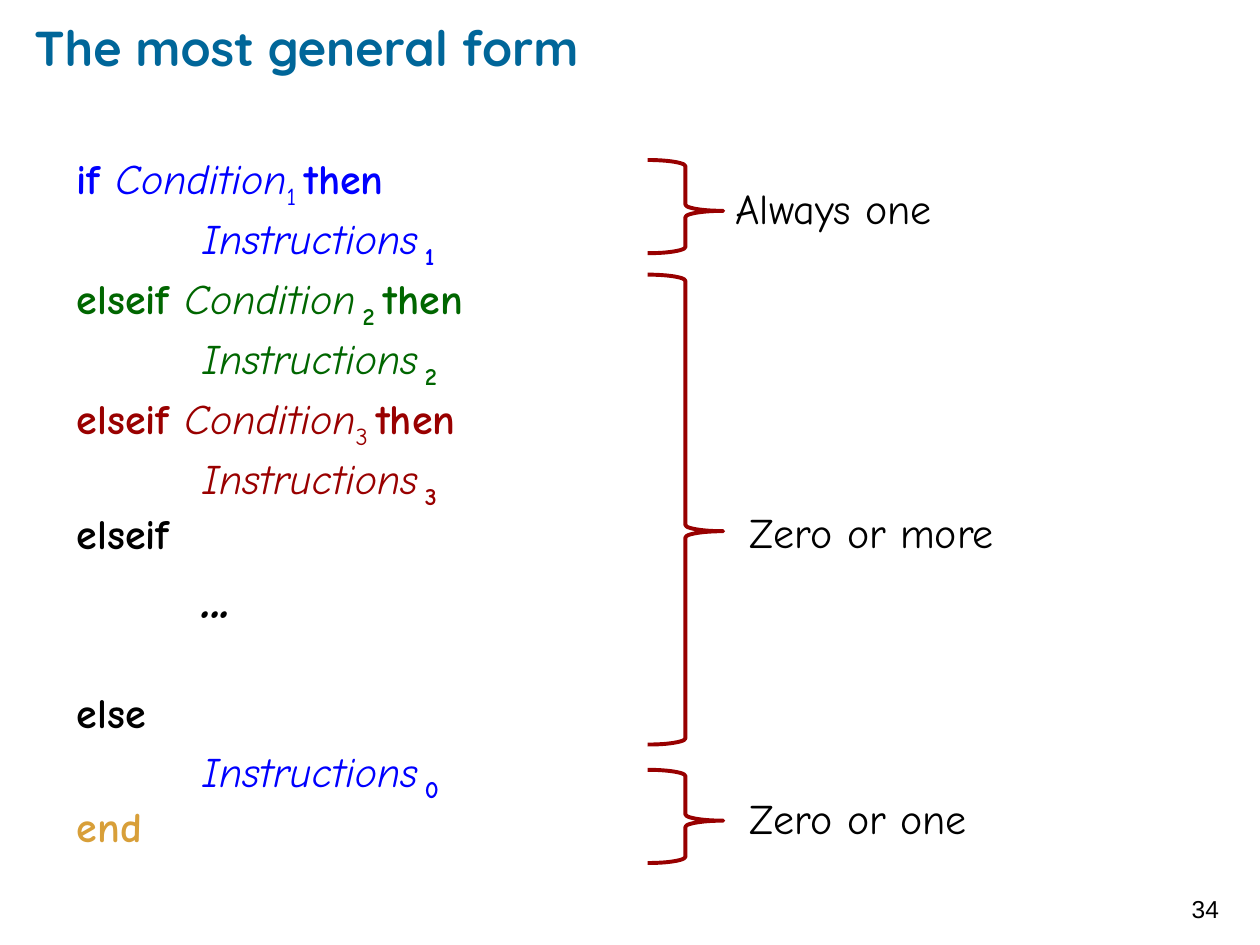
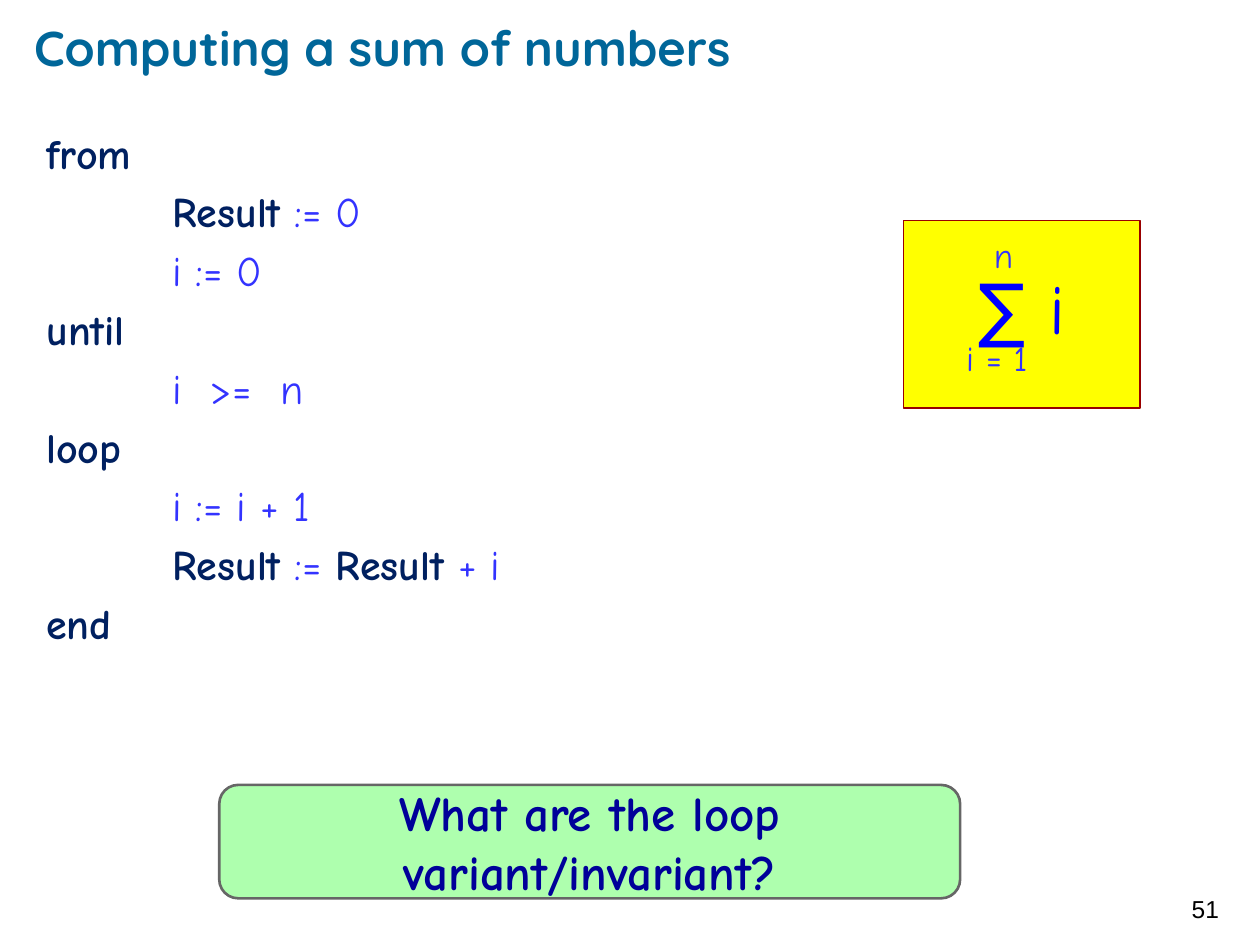
from dataclasses import dataclass
from typing import NamedTuple

from lxml.etree import SubElement
from pptx import Presentation
from pptx.dml.color import RGBColor
from pptx.enum.shapes import MSO_SHAPE as Shape
from pptx.enum.text import MSO_ANCHOR as Anchor, PP_ALIGN as Align
from pptx.oxml.ns import qn
from pptx.util import Inches, Pt

COLORS = {
    "title": "006699", "black": "000000", "first": "0000FF",
    "second": "006600", "third": "990000", "end": "D89F39",
    "brace": "980000", "keyword": "002060", "code": "3333FF",
    "sum_fill": "FFFF00", "question": "000099",
    "question_fill": "99FF99", "question_line": "666666",
}
TITLE_FONT, BODY_FONT, NUMBER_FONT = "Quicksand", "Comic Neue", "Arial"
COLUMNS, ROWS = 100, 75
CELL = Inches(0.1)
CODE_SIZE, CODE_GAP = 24, 4.8
CODE_INSETS = (0.1, 0.05)
LABEL_INSETS = (0.1, 0.1)


class Box(NamedTuple):
    """Left, top, width and height in grid cells."""
    col: float
    row: float
    cols: float
    rows: float

    def emu(self) -> list[int]:
        return [round(v * CELL) for v in self]


@dataclass
class Run:
    text: str
    color: str
    bold: bool = False
    italic: bool = False
    sub: bool = False
    size: float = CODE_SIZE
    font: str = BODY_FONT


@dataclass
class Line:
    runs: list[Run]
    indented: bool = False
    before: float = CODE_GAP


@dataclass
class Brace:
    row: float
    rows: float
    label: str
    label_at: tuple[float, float]


TITLE_BOX = Box(2.7, 1.3, 86.9, 4.8)
NUMBER_BOX = Box(93.6, 69.3, 6, 5.7)
BRACES = [
    Brace(12.7, 7.4, "Always one", (57.4, 13.5)),
    Brace(21.8, 37.3, "Zero or more", (58.5, 39.2)),
    Brace(61.1, 7.4, "Zero or one", (58.5, 61.9)),
]


def rgb(name: str) -> RGBColor:
    return RGBColor.from_string(COLORS[name])


def keyword(text: str, color: str = "keyword") -> Run:
    return Run(text, color, bold=True)


def code(text: str) -> Run:
    return Run(text, "code")


def instructions(index: str, color: str) -> Line:
    return Line([Run("Instructions", color, italic=True),
                 Run(" ", color, italic=True, size=12),
                 Run(index, color, bold=True, sub=True)], indented=True)


def condition(word: str, index: str, color: str, spaced: bool = False) -> Line:
    """A spaced index is bold and stands a little off the name."""
    gap = [Run(" ", color, italic=True, size=12)] if spaced else []
    return Line([keyword(word + " ", color), Run("Condition", color, italic=True),
                 *gap, Run(index + " ", color, bold=spaced, sub=True),
                 keyword("then", color)])


def write(tf, lines: list[Line], insets=LABEL_INSETS, anchor=Anchor.TOP,
          align=Align.LEFT, spacing: float = 1.0) -> None:
    tf.word_wrap = True
    tf.vertical_anchor = anchor
    tf.margin_left = tf.margin_right = Inches(insets[0])
    tf.margin_top = tf.margin_bottom = Inches(insets[1])
    for i, line in enumerate(lines):
        p = tf.add_paragraph() if i else tf.paragraphs[0]
        p.alignment, p.line_spacing = align, spacing
        p.space_before = Pt(line.before if i else 0)
        if line.indented:
            pr = p._p.get_or_add_pPr()
            pr.set("marL", str(Inches(1)))
            pr.set("indent", "0")
        for run in line.runs:
            r = p.add_run()
            r.text = run.text
            r.font.name, r.font.size = run.font, Pt(run.size)
            r.font.bold, r.font.italic = run.bold, run.italic
            r.font.color.rgb = rgb(run.color)
            if run.sub:
                r._r.get_or_add_rPr().set("baseline", "-25000")


def add_text(s, box: Box, content: str | list[Line], *, color: str = "black",
             size: float = CODE_SIZE, font: str = BODY_FONT, bold: bool = False,
             **layout) -> None:
    """A plain string takes the character format given; lines carry their own."""
    if isinstance(content, str):
        content = [Line([Run(content, color, bold, size=size, font=font)])]
    write(s.shapes.add_textbox(*box.emu()).text_frame, content, **layout)


def add_panel(s, kind, box: Box, line: str, width: float,
              fill: str | None = None, alpha: int = 100):
    sp = s.shapes.add_shape(kind, *box.emu())
    sp.shadow.inherit = False
    sp.line.color.rgb, sp.line.width = rgb(line), Pt(width)
    if fill is None:
        sp.fill.background()
        return sp
    sp.fill.solid()
    sp.fill.fore_color.rgb = rgb(fill)
    if alpha < 100:
        tint = sp._element.spPr.find(qn("a:solidFill")).find(qn("a:srgbClr"))
        SubElement(tint, qn("a:alpha")).set("val", str(alpha * 1000))
    return sp


def new_slide(prs, title: str, number: int):
    s = prs.slides.add_slide(prs.slide_layouts[6])
    add_text(s, TITLE_BOX, title, color="title", size=28, font=TITLE_FONT,
             bold=True, insets=(0, 0), anchor=Anchor.MIDDLE)
    add_text(s, NUMBER_BOX, str(number), size=14, font=NUMBER_FONT,
             anchor=Anchor.MIDDLE)
    return s


def build_general_form(prs) -> None:
    s = new_slide(prs, "The most general form", 34)
    dots = Run("...", "black", bold=True, italic=True, size=32)
    add_text(s, Box(5.1, 11.7, 43.2, 55.9), [
        condition("if", "1", "first"),
        instructions("1", "first"),
        condition("elseif", "2", "second", spaced=True),
        instructions("2", "second"),
        condition("elseif", "3", "third"),
        instructions("3", "third"),
        Line([keyword("elseif", "black")]),
        Line([dots], indented=True, before=6.4),
        Line([keyword("else", "black")], before=35.5),
        instructions("0", "first"),
        Line([keyword("end", "end")]),
    ], insets=CODE_INSETS, spacing=0.9)
    for brace in BRACES:
        sp = add_panel(s, Shape.RIGHT_BRACE, Box(51.4, brace.row, 6, brace.rows),
                       "brace", 2.25)
        sp.adjustments[0], sp.adjustments[1] = 0.083, 0.546
        add_text(s, Box(*brace.label_at, 25.6, 5.7), brace.label)


def build_sum(prs) -> None:
    s = new_slide(prs, "Computing a sum of numbers", 51)
    result = keyword("Result")
    add_text(s, Box(2.7, 9.6, 47.3, 46.2), [
        Line([keyword("from")]),
        Line([result, code(" := 0")], indented=True),
        Line([code("i := 0")], indented=True),
        Line([keyword("until")]),
        Line([code("i  >=  n")], indented=True),
        Line([keyword("loop")]),
        Line([code("i := i + 1")], indented=True),
        Line([result, code(" := "), result, code(" + i")], indented=True),
        Line([keyword("end")]),
    ], insets=CODE_INSETS)

    sp = add_panel(s, Shape.RECTANGLE, Box(71.7, 17.5, 18.8, 14.9),
                   "third", 1, "sum_fill")
    write(sp.text_frame, [Line([Run("∑ i", "first", size=40)])], insets=(0, 0.05),
          anchor=Anchor.MIDDLE, align=Align.CENTER, spacing=0.8)
    for text, box in (("i = 1", Box(75.7, 26.2, 10, 5.1)),
                      ("n", Box(77.9, 18, 4.3, 5.1))):
        add_text(s, box, text, color="code", size=20, insets=CODE_INSETS)

    sp = add_panel(s, Shape.ROUNDED_RECTANGLE, Box(17.4, 62.3, 58.8, 9),
                   "question_line", 1.5, "question_fill", alpha=79)
    sp.adjustments[0] = 0.167
    question = Run("What are the loop variant/invariant?", "question",
                   bold=True, size=28)
    write(sp.text_frame, [Line([question])], anchor=Anchor.MIDDLE,
          align=Align.CENTER)


def main() -> None:
    prs = Presentation()
    prs.slide_width, prs.slide_height = COLUMNS * CELL, ROWS * CELL
    build_general_form(prs)
    build_sum(prs)
    prs.save("out.pptx")


if __name__ == "__main__":
    main()
